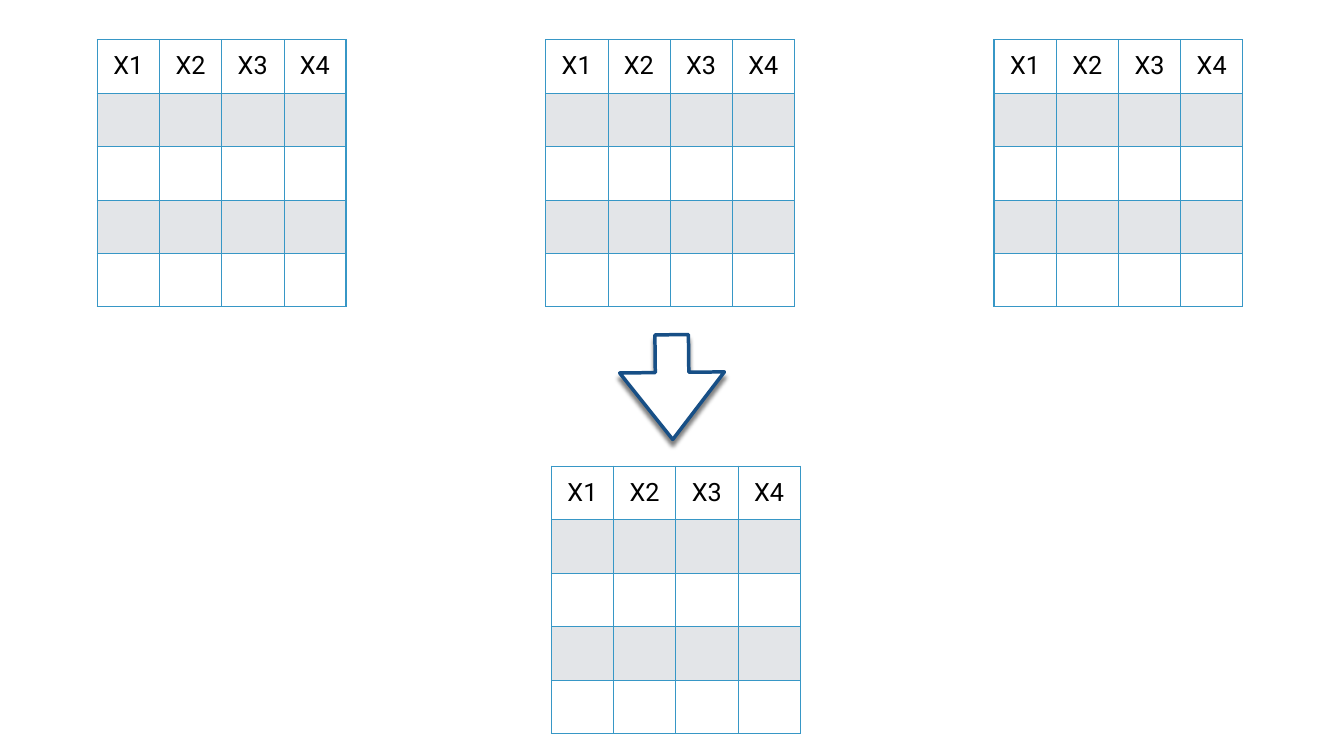
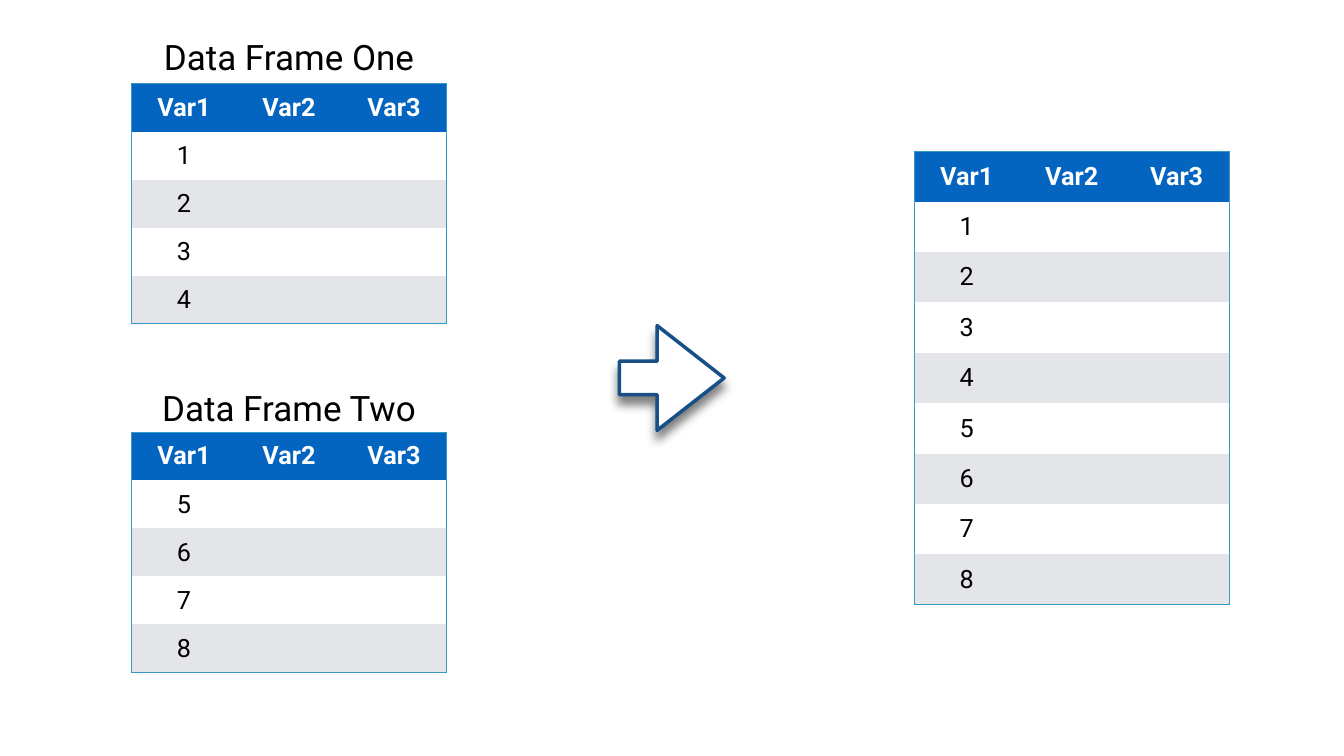
from dataclasses import dataclass

from lxml import etree
from pptx import Presentation
from pptx.dml.color import RGBColor
from pptx.enum import shapes, text
from pptx.oxml import ns
from pptx.util import Cm, Pt


@dataclass(frozen=True)
class Theme:
    font: str = "Roboto"
    cell_size: int = 36
    label_size: int = 50
    inset: float = 0.15
    black: str = "000000"
    white: str = "FFFFFF"
    band: str = "E3E5E8"
    header: str = "0365C0"
    border: str = "3797C6"
    arrow: str = "174F86"


T = Theme()
SLIDE_SIZE = 67.74, 38.1

# Slide 1: three data sets with the same columns become one
X_ROWS = [["X1", "X2", "X3", "X4"]] + [[""] * 4 for _ in range(4)]
X_CELL = 3.135, 2.69
SOURCE_LEFT, SOURCE_TOP, SOURCE_STEP, SOURCE_COUNT = 4.9, 2, 22.6, 3
MERGED_AT = 27.79, 23.5

# Slide 2: two data frames are stacked by rows
VAR_NAMES = ["Var1", "Var2", "Var3"]
VAR_WIDTH = 5.29
FRAMES = [  # label, label box, table top, values of Var1
    ("Data Frame One", (7.85, 1.65, 13.44, 2.41), 4.22, range(1, 5)),
    ("Data Frame Two", (7.9, 19.33, 13.34, 2.41), 21.79, range(5, 9)),
]
FRAME_LEFT, FRAME_ROW = 6.63, 2.42
STACKED_AT, STACKED_ROW = (46.08, 7.62), 2.54

ARROW_SIZE = 5.28


def rgb(value):
    return RGBColor.from_string(value)


def add_text(tf, wording, size, color, bold=False):
    tf.vertical_anchor = text.MSO_ANCHOR.MIDDLE
    p = tf.paragraphs[0]
    p.alignment = text.PP_ALIGN.CENTER
    r = p.add_run()
    r.text = wording
    r.font.name = T.font
    r.font.size = Pt(size)
    r.font.bold = bold
    r.font.color.rgb = rgb(color)


def set_borders(cell, widths):
    """Draw the left, right, top and bottom borders; width 0 hides one."""
    tc_pr = cell._tc.get_or_add_tcPr()
    for i, (side, width) in enumerate(zip("LRTB", widths)):
        ln = etree.Element(ns.qn(f"a:ln{side}"), w=str(Pt(width)))
        if width:
            fill = etree.SubElement(ln, ns.qn("a:solidFill"))
            etree.SubElement(fill, ns.qn("a:srgbClr"), val=T.border)
        else:
            etree.SubElement(ln, ns.qn("a:noFill"))
        tc_pr.insert(i, ln)


def add_table(s, at, cell_size, rows, colors, header_color, inner):
    """Add a table; colors holds the header fill, then the two row fills."""
    n_rows, n_cols = len(rows), len(rows[0])
    width, height = cell_size
    header_fill, *bands = colors
    table = s.shapes.add_table(n_rows, n_cols, Cm(at[0]), Cm(at[1]),
                               Cm(width * n_cols), Cm(height * n_rows)).table
    table.first_row = table.horz_banding = False
    for column in table.columns:
        column.width = Cm(width)
    for i, values in enumerate(rows):
        table.rows[i].height = Cm(height)
        for j, value in enumerate(values):
            cell = table.cell(i, j)
            cell.margin_left = cell.margin_right = Cm(T.inset)
            cell.margin_top = cell.margin_bottom = Cm(T.inset)
            cell.vertical_anchor = text.MSO_ANCHOR.MIDDLE
            cell.fill.solid()
            cell.fill.fore_color.rgb = rgb(bands[(i - 1) % 2] if i else header_fill)
            outer_sides = j == 0, j == n_cols - 1, i == 0, i == n_rows - 1
            set_borders(cell, [2 if outer else inner for outer in outer_sides])
            if value:
                add_text(cell.text_frame, value, T.cell_size,
                         T.black if i else header_color,
                         bold=i == 0 and header_color == T.white)


def add_x_table(s, at):
    add_table(s, at, X_CELL, X_ROWS, (T.white, T.band, T.white), T.black, inner=1)


def add_var_table(s, at, row_height, values):
    rows = [VAR_NAMES] + [[str(v), "", ""] for v in values]
    add_table(s, at, (VAR_WIDTH, row_height), rows,
              (T.header, T.white, T.band), T.white, inner=0)


def add_arrow(s, left, top, blur, distance, rotation=0):
    sp = s.shapes.add_shape(shapes.MSO_SHAPE.RIGHT_ARROW, Cm(left), Cm(top),
                            Cm(ARROW_SIZE), Cm(ARROW_SIZE))
    sp.rotation = rotation
    sp.adjustments[0], sp.adjustments[1] = 0.32, 0.64
    sp.fill.solid()
    sp.fill.fore_color.rgb = rgb(T.white)
    sp.line.color.rgb = rgb(T.arrow)
    sp.line.width = Pt(5)
    sp.shadow.inherit = False
    effects = sp._element.spPr.find(ns.qn("a:effectLst"))
    shadow = etree.SubElement(effects, ns.qn("a:outerShdw"), blurRad=str(Pt(blur)),
                              dist=str(Pt(distance)), dir="5400000", rotWithShape="0")
    color = etree.SubElement(shadow, ns.qn("a:srgbClr"), val=T.black)
    etree.SubElement(color, ns.qn("a:alpha"), val="50000")


def add_label(s, wording, box):
    tf = s.shapes.add_textbox(*map(Cm, box)).text_frame
    tf.margin_left = tf.margin_right = Cm(T.inset)
    tf.margin_top = tf.margin_bottom = Cm(T.inset)
    tf.word_wrap = False
    tf.auto_size = text.MSO_AUTO_SIZE.SHAPE_TO_FIT_TEXT
    add_text(tf, wording, T.label_size, T.black)


def build_merge_slide(s):
    add_arrow(s, 31.24, 16.87, blur=6, distance=7.9, rotation=89.4)
    add_x_table(s, MERGED_AT)
    for i in range(SOURCE_COUNT):
        add_x_table(s, (SOURCE_LEFT + i * SOURCE_STEP, SOURCE_TOP))


def build_stack_slide(s):
    for _, _, top, values in FRAMES:
        add_var_table(s, (FRAME_LEFT, top), FRAME_ROW, values)
    add_arrow(s, 31.22, 16.41, blur=14, distance=11.9)
    stacked = [v for *_, values in FRAMES for v in values]
    add_var_table(s, STACKED_AT, STACKED_ROW, stacked)
    for label, box, *_ in FRAMES:
        add_label(s, label, box)


def main():
    prs = Presentation()
    prs.slide_width, prs.slide_height = map(Cm, SLIDE_SIZE)
    blank = prs.slide_layouts[6]
    for build in (build_merge_slide, build_stack_slide):
        build(prs.slides.add_slide(blank))
    prs.save("out.pptx")


if __name__ == "__main__":
    main()
